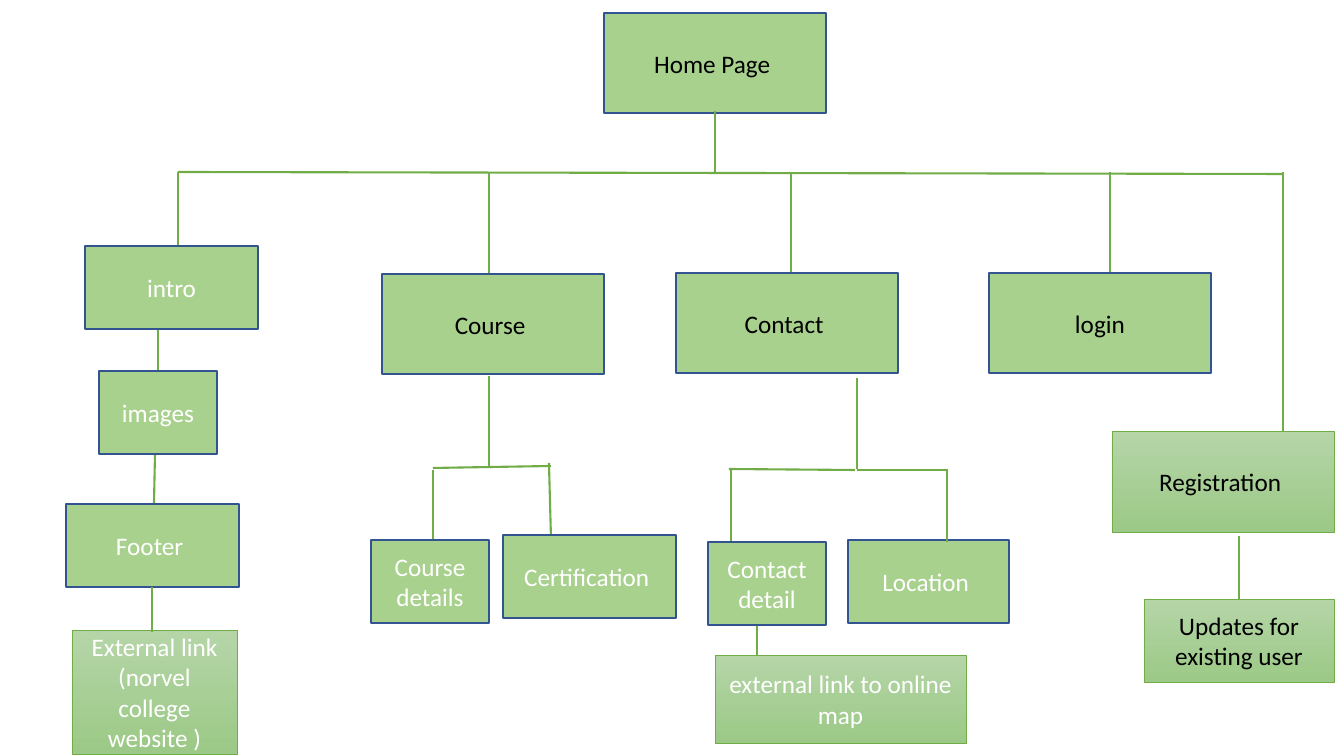
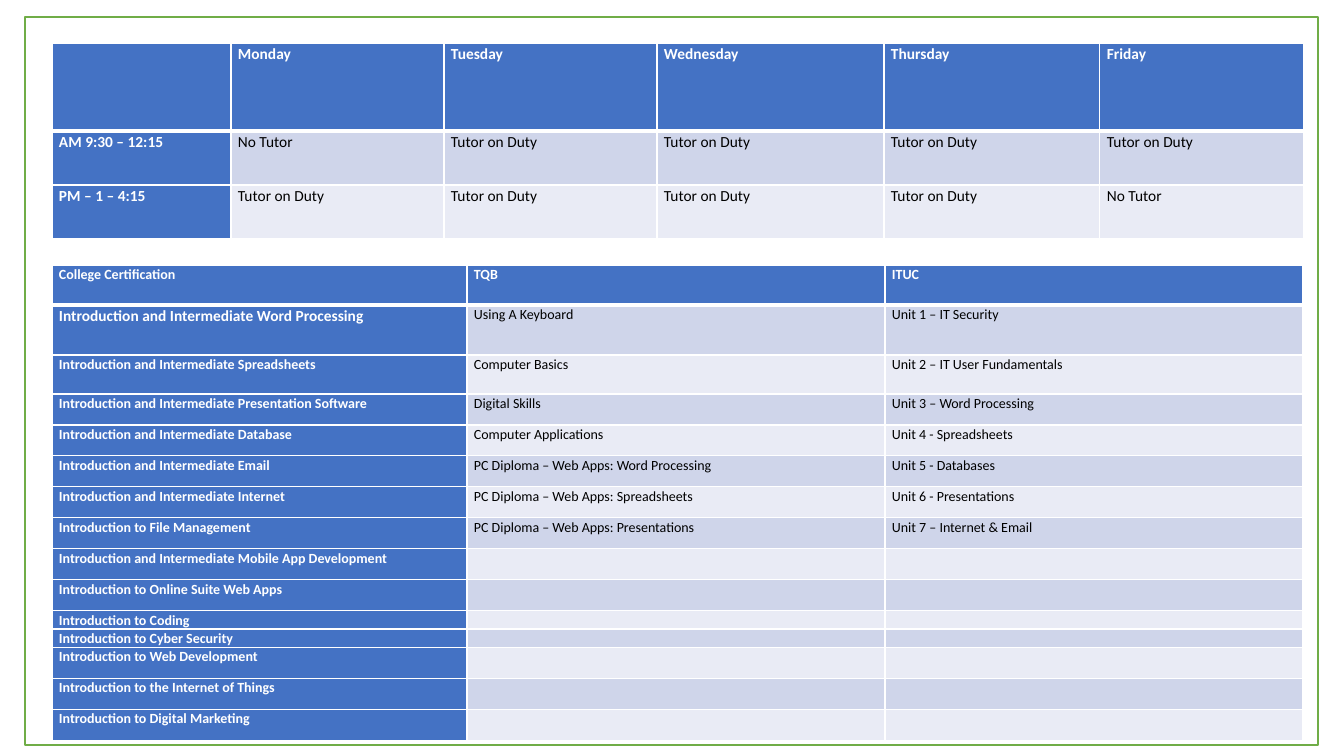
from dataclasses import dataclass

from lxml import etree
from pptx import Presentation
from pptx import util as u
from pptx.dml.color import RGBColor
from pptx.enum import shapes, text
from pptx.oxml.ns import qn


@dataclass(frozen=True)
class Theme:
    font: str = "Calibri"
    white: str = "FFFFFF"
    black: str = "000000"
    green: str = "70AD47"
    leaf: str = "A9D18E"
    fade: tuple = ("B5D5A7", "9CC987")
    navy: str = "325491"
    header: str = "4472C4"
    bands: tuple = ("CFD5EA", "E9EBF5")
    node_size: int = 18
    week_size: int = 11
    course_size: int = 10
    link_width: float = 1.5
    rule: int = 1
    header_rule: int = 3


theme = Theme()
PX = 914400 / 100.8
SLIDE = (1344, 756)

PAGE, SECTION, SMALL = (222, 100), (173, 83), (118, 83)
PLAIN_NODES = [
    ("Home Page ", (604, 13), PAGE, theme.black),
    ("Course ", (382, 274), PAGE, theme.black),
    ("Contact ", (676, 273), PAGE, theme.black),
    ("login", (989, 273), PAGE, theme.black),
    ("intro", (85, 246), SECTION, theme.white),
    ("Footer ", (66, 504), SECTION, theme.white),
    ("images", (99, 371), SMALL, theme.white),
    ("Course details", (371, 540), SMALL, theme.white),
    ("Certification ", (503, 535), SECTION, theme.white),
    ("Location ", (848, 540), (161, 83), theme.white),
    ("Contact detail", (708, 542), SMALL, theme.white),
]
FADED_NODES = [
    ("Registration ", (1112, 431), (222, 101), theme.black),
    ("Updates for existing user", (1144, 599), (190, 83), theme.black),
    ("external link to online map", (715, 655), (251, 88), theme.white),
    ("External link (norvel college website )", (72, 630), (165, 124), theme.white),
]
LINKS_BEHIND = [
    (178, 172, 1283, 174), (178, 172, 178, 245), (489, 173, 489, 280),
    (791, 172, 791, 279), (1110, 172, 1110, 278), (1283, 172, 1283, 431),
    (158, 329, 158, 374), (155, 455, 154, 504),
    (489, 376, 489, 467), (433, 468, 551, 466),
    (433, 470, 433, 542), (549, 463, 551, 538),
    (857, 378, 857, 469), (729, 469, 855, 470), (857, 470, 947, 470),
    (731, 470, 731, 542), (757, 625, 757, 655), (1239, 536, 1239, 599),
]
LINKS_IN_FRONT = [
    (715, 111, 715, 173), (947, 469, 947, 542), (152, 587, 152, 632),
]

FRAME = (25, 17, 1293, 728)
TABLE_LEFT = 52
ON, OFF = "Tutor on Duty", "No Tutor"
WEEK = [
    ("", "Monday", "Tuesday", "Wednesday", "Thursday", "Friday"),
    ("AM 9:30 – 12:15", OFF, ON, ON, ON, ON),
    ("PM – 1 – 4:15", ON, ON, ON, ON, OFF),
]
WEEK_TOP, WEEK_COLUMNS, WEEK_ROWS = 43, (179, 213, 213, 227, 216, 204), (88, 54, 54)

COURSES = [
    ("College Certification", "TQB", "ITUC"),
    ("Introduction and Intermediate Word Processing", "Using A Keyboard",
     "Unit 1 – IT Security"),
    ("Introduction and Intermediate Spreadsheets", "Computer Basics",
     "Unit 2 – IT User Fundamentals"),
    ("Introduction and Intermediate Presentation Software", "Digital Skills",
     "Unit 3 – Word Processing"),
    ("Introduction and Intermediate Database", "Computer Applications",
     "Unit 4 - Spreadsheets"),
    ("Introduction and Intermediate Email", "PC Diploma – Web Apps: Word Processing",
     "Unit 5 - Databases"),
    ("Introduction and Intermediate Internet", "PC Diploma – Web Apps: Spreadsheets",
     "Unit 6 - Presentations"),
    ("Introduction to File Management", "PC Diploma – Web Apps: Presentations",
     "Unit 7 – Internet & Email"),
    ("Introduction and Intermediate Mobile App Development", "", ""),
    ("Introduction to Online Suite Web Apps", "", ""),
    ("Introduction to Coding", "", ""),
    ("Introduction to Cyber Security", "", ""),
    ("Introduction to Web Development", "", ""),
    ("Introduction to the Internet of Things", "", ""),
    ("Introduction to Digital Marketing", "", ""),
]
COURSES_TOP, COURSES_COLUMNS = 265, (415, 418, 418)
COURSES_ROWS = (40, 50, 39) + (31,) * 7 + (18, 18) + (31,) * 3
LARGER_COURSE = {(1, 0): theme.week_size}


def px(length):
    return u.Emu(round(length * PX))


def rgb(colour):
    return RGBColor.from_string(colour)


def style_run(run, size, colour, bold=False):
    run.font.name = theme.font
    run.font.size = u.Pt(size)
    run.font.bold = bold
    run.font.color.rgb = rgb(colour)


def add_box(slide, at, fill, line, width):
    box = slide.shapes.add_shape(shapes.MSO_SHAPE.RECTANGLE, *map(px, at))
    box.shadow.inherit = False
    if isinstance(fill, tuple):
        box.fill.gradient()
        box.fill.gradient_angle = 270
        for stop, colour in zip(box.fill.gradient_stops, fill):
            stop.color.rgb = rgb(colour)
    else:
        box.fill.solid()
        box.fill.fore_color.rgb = rgb(fill)
    box.line.color.rgb = rgb(line)
    box.line.width = u.Pt(width)
    return box


def add_nodes(slide, nodes, fill, line, width):
    for label, corner, size, colour in nodes:
        frame = add_box(slide, corner + size, fill, line, width).text_frame
        frame.text = label
        frame.word_wrap = True
        frame.vertical_anchor = text.MSO_ANCHOR.MIDDLE
        frame.paragraphs[0].alignment = text.PP_ALIGN.CENTER
        style_run(frame.paragraphs[0].runs[0], theme.node_size, colour)


def add_links(slide, links):
    for ends in links:
        link = slide.shapes.add_connector(shapes.MSO_CONNECTOR.STRAIGHT, *map(px, ends))
        link.line.color.rgb = rgb(theme.green)
        link.line.width = u.Pt(theme.link_width)
        etree.SubElement(link._element.spPr, qn("a:effectLst"))


def add_borders(cell, row):
    properties = cell._tc.get_or_add_tcPr()
    for side in "LRTB":
        heavy = (row, side) in ((0, "B"), (1, "T"))
        width = u.Pt(theme.header_rule if heavy else theme.rule)
        border = etree.SubElement(properties, qn("a:ln" + side), w=str(width))
        fill = etree.SubElement(border, qn("a:solidFill"))
        etree.SubElement(fill, qn("a:srgbClr"), val=theme.white)


def add_grid(slide, rows, top, widths, heights, size, larger={}):
    at = (TABLE_LEFT, top, sum(widths), sum(heights))
    table = slide.shapes.add_table(len(rows), len(widths), *map(px, at)).table
    table.horz_banding = False
    table.first_col = True
    for column, width in zip(table.columns, widths):
        column.width = px(width)
    for r, (values, height) in enumerate(zip(rows, heights)):
        table.rows[r].height = px(height)
        for c, value in enumerate(values):
            cell = table.cell(r, c)
            heading = r == 0 or c == 0
            cell.margin_left = cell.margin_right = px(7)
            cell.margin_top = cell.margin_bottom = 0
            add_borders(cell, r)
            cell.fill.solid()
            cell.fill.fore_color.rgb = rgb(theme.header if heading else theme.bands[(r - 1) % 2])
            paragraph = cell.text_frame.paragraphs[0]
            paragraph.text = value
            paragraph.line_spacing = 1.07
            for run in paragraph.runs:
                style_run(run, larger.get((r, c), size),
                          theme.white if heading else theme.black, heading)
            if not value:
                etree.SubElement(paragraph._p, qn("a:endParaRPr"), sz=str(size * 100))


deck = Presentation()
deck.slide_width, deck.slide_height = map(px, SLIDE)
blank = deck.slide_layouts[6]

site_map = deck.slides.add_slide(blank)
add_links(site_map, LINKS_BEHIND)
add_nodes(site_map, PLAIN_NODES, theme.leaf, theme.navy, 1)
add_nodes(site_map, FADED_NODES, theme.fade, theme.green, 0.5)
add_links(site_map, LINKS_IN_FRONT)

timetable = deck.slides.add_slide(blank)
add_box(timetable, FRAME, theme.white, theme.green, 1)
add_grid(timetable, WEEK, WEEK_TOP, WEEK_COLUMNS, WEEK_ROWS, theme.week_size)
add_grid(timetable, COURSES, COURSES_TOP, COURSES_COLUMNS, COURSES_ROWS,
         theme.course_size, LARGER_COURSE)

deck.save("out.pptx")
